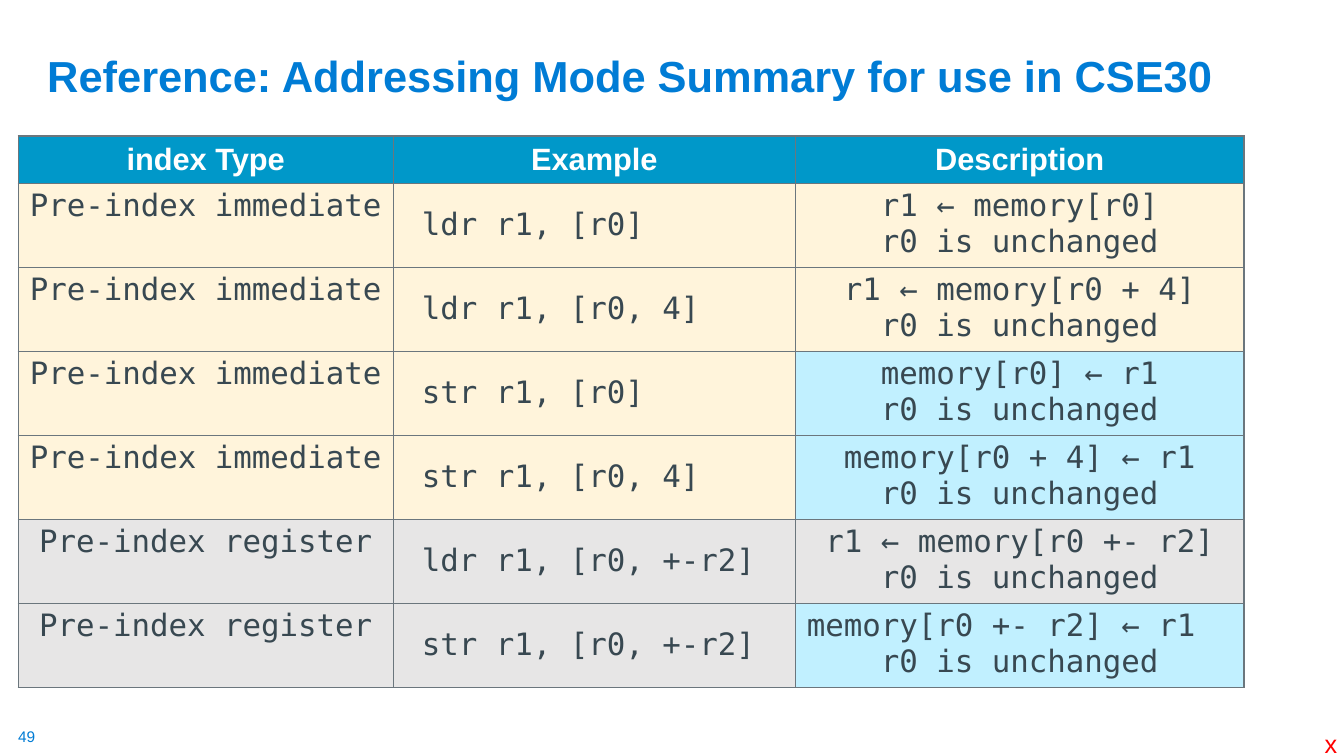
from dataclasses import dataclass

from lxml import etree
from pptx import Presentation
from pptx.dml.color import RGBColor
from pptx.enum.text import MSO_ANCHOR, MSO_AUTO_SIZE, PP_ALIGN
from pptx.oxml.ns import qn
from pptx.util import Inches, Pt

TOP, MIDDLE, BOTTOM = MSO_ANCHOR.TOP, MSO_ANCHOR.MIDDLE, MSO_ANCHOR.BOTTOM
LEFT, CENTER = PP_ALIGN.LEFT, PP_ALIGN.CENTER
FIT_SHAPE, FIT_NONE = MSO_AUTO_SIZE.SHAPE_TO_FIT_TEXT, MSO_AUTO_SIZE.NONE
SANS, MONO = "Arial", "DejaVu Sans Mono"
BLUE, RED, WHITE, SLATE = "007CD5", "FF0000", "FFFFFF", "384851"
HEADER, CREAM, GRAY, SKY, BORDER = "0098C9", "FFF4DB", "E7E6E6", "C1F0FF", "6B767D"
SLIDE_W, SLIDE_H = 13.33, 7.5
TABLE_LEFT, TABLE_TOP = 1.35, 18
COLUMN_WIDTHS = (27.91, 29.93, 33.38)
HEADER_HEIGHT, MODE_HEIGHT = 5.87, 10.8
TABLE_SIZE = 22


@dataclass(frozen=True)
class Label:
    """A text box placed in percent of the slide."""
    text: str
    left: float
    top: float
    width: float
    height: float
    size: float
    color: str
    bold: bool = False
    wrap: bool = False
    inset: bool = True
    anchor: MSO_ANCHOR = TOP


@dataclass(frozen=True)
class Mode:
    """One addressing mode of the table."""
    index: str
    example: str
    effect: str
    fill: str
    effect_fill: str


LABELS = (
    Label("49", 1.35, 96.13, 1.43, 2.53, 11, BLUE, inset=False),
    Label("Reference: Addressing Mode Summary for use in CSE30",
          2.78, 6.67, 92.35, 7.33, 31, BLUE, bold=True, wrap=True, anchor=BOTTOM),
    Label("x", 97.82, 95.73, 2.48, 5.33, 18, RED),
)
HEADINGS = ("index Type", "Example", "Description")
MODES = (
    Mode("immediate", "ldr r1, [r0]", "r1 ← memory[r0]", CREAM, CREAM),
    Mode("immediate", "ldr r1, [r0, 4]", "r1 ← memory[r0 + 4]", CREAM, CREAM),
    Mode("immediate", "str r1, [r0]", "memory[r0] ← r1", CREAM, SKY),
    Mode("immediate", "str r1, [r0, 4]", "memory[r0 + 4] ← r1", CREAM, SKY),
    Mode("register", "ldr r1, [r0, +-r2]", "r1 ← memory[r0 +- r2]", GRAY, GRAY),
    Mode("register", "str r1, [r0, +-r2]", "memory[r0 +- r2] ← r1  ", GRAY, SKY),
)


def across(percent: float) -> int:
    """Turn a percentage of the slide's width into a length."""
    return Inches(SLIDE_W * percent / 100)


def down(percent: float) -> int:
    """Turn a percentage of the slide's height into a length."""
    return Inches(SLIDE_H * percent / 100)


def rgb(color: str) -> RGBColor:
    """Turn a hex string into a colour."""
    return RGBColor.from_string(color)


def style_text(tf, font: str, size: float, color: str, bold: bool, align: PP_ALIGN) -> None:
    """Format every run of a text frame alike."""
    for p in tf.paragraphs:
        p.alignment = align
        for r in p.runs:
            r.font.name, r.font.size, r.font.bold = font, Pt(size), bold
            r.font.color.rgb = rgb(color)


def add_label(s, label: Label) -> None:
    """Draw one text box."""
    tf = s.shapes.add_textbox(across(label.left), down(label.top),
                              across(label.width), down(label.height)).text_frame
    tf.text = label.text
    tf.word_wrap = label.wrap
    tf.auto_size = FIT_NONE if label.wrap else FIT_SHAPE
    tf.vertical_anchor = label.anchor
    if not label.inset:
        tf.margin_left = tf.margin_top = tf.margin_right = tf.margin_bottom = 0
    style_text(tf, SANS, label.size, label.color, label.bold, LEFT)


def add_borders(cell) -> None:
    """Outline a cell on its four sides."""
    tc_pr = cell._tc.get_or_add_tcPr()
    for side in ("a:lnL", "a:lnR", "a:lnT", "a:lnB"):
        line = etree.SubElement(tc_pr, qn(side), w=str(Pt(1)))
        fill = etree.SubElement(line, qn("a:solidFill"))
        etree.SubElement(fill, qn("a:srgbClr"), val=BORDER)


def fill_cell(cell, text: str, fill: str, font: str, color: str, bold: bool,
              align: PP_ALIGN, anchor: MSO_ANCHOR) -> None:
    """Write and colour one table cell."""
    add_borders(cell)
    cell.fill.solid()
    cell.fill.fore_color.rgb = rgb(fill)
    cell.vertical_anchor = anchor
    cell.text_frame.text = text
    style_text(cell.text_frame, font, TABLE_SIZE, color, bold, align)


def add_mode_table(s) -> None:
    """Draw the table of addressing modes."""
    heights = [HEADER_HEIGHT] + [MODE_HEIGHT] * len(MODES)
    table = s.shapes.add_table(len(heights), len(COLUMN_WIDTHS),
                               across(TABLE_LEFT), down(TABLE_TOP),
                               across(sum(COLUMN_WIDTHS)), down(sum(heights))).table
    for column, width in zip(table.columns, COLUMN_WIDTHS):
        column.width = across(width)
    for row, height in zip(table.rows, heights):
        row.height = down(height)
    for i, heading in enumerate(HEADINGS):
        fill_cell(table.cell(0, i), heading, HEADER, SANS, WHITE, True, CENTER, MIDDLE)
    for i, mode in enumerate(MODES, start=1):
        entries = (
            (f"Pre-index {mode.index}", mode.fill, CENTER, TOP),
            (f" {mode.example}", mode.fill, LEFT, MIDDLE),
            (f"{mode.effect}\nr0 is unchanged", mode.effect_fill, CENTER, TOP),
        )
        for j, (text, fill, align, anchor) in enumerate(entries):
            fill_cell(table.cell(i, j), text, fill, MONO, SLATE, False, align, anchor)


def main() -> None:
    """Build and save the slide."""
    prs = Presentation()
    prs.slide_width, prs.slide_height = Inches(SLIDE_W), Inches(SLIDE_H)
    s = prs.slides.add_slide(prs.slide_layouts[6])
    for label in LABELS:
        add_label(s, label)
    add_mode_table(s)
    prs.save("out.pptx")


if __name__ == "__main__":
    main()
